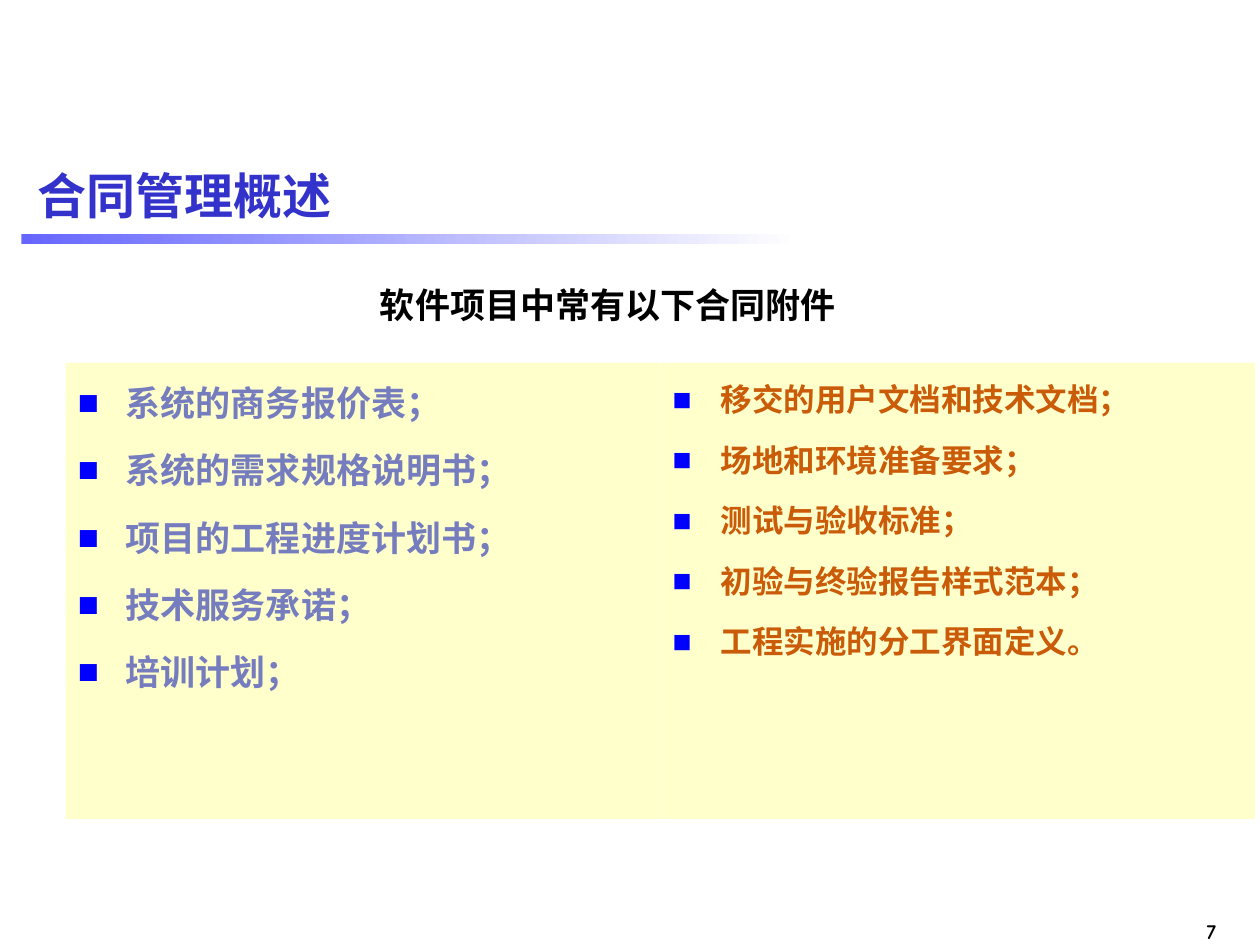
from pptx import Presentation
from pptx.dml.color import RGBColor as RGB
from pptx.enum.shapes import MSO_SHAPE as Shape
from pptx.enum.text import MSO_ANCHOR as Anchor, PP_ALIGN as Align
from pptx.oxml import parse_xml
from pptx.oxml.ns import nsdecls
from pptx.util import Inches as In, Pt

BLUE = RGB(0x33, 0x33, 0xCC)
BAR = RGB(0x66, 0x66, 0xFF)
WHITE = RGB(0xFF, 0xFF, 0xFF)
CREAM = RGB(0xFF, 0xFF, 0xCC)
MAUVE = RGB(0x76, 0x7D, 0xBE)
RUST = RGB(0xCA, 0x5B, 0x08)
BLACK = RGB(0, 0, 0)
MARK = RGB(0, 0, 0xFF)

deck = Presentation()
deck.slide_width, deck.slide_height = In(10), In(7.5)
slide = deck.slides.add_slide(deck.slide_layouts[6])


def write(para, text, size, color, font="Arial"):
    run = para.add_run()
    run.text = text
    run.font.name = font
    run.font.size = Pt(size)
    run.font.bold = True
    run.font.color.rgb = color


def add_box(left, top, width, height):
    box = slide.shapes.add_textbox(In(left), In(top), In(width), In(height))
    box.text_frame.word_wrap = True
    return box


# Page number
page = add_box(9.2, 7.24, 0.55, 0.3).text_frame
page.word_wrap = False
page.paragraphs[0].alignment = Align.RIGHT
write(page.paragraphs[0], "7", 12, BLACK, "Comic Neue")

# Fading bar under the title
bar = slide.shapes.add_shape(Shape.RECTANGLE, In(0.17), In(1.86), In(6.17), In(0.08))
bar.shadow.inherit = False
bar.line.fill.background()
bar.fill.gradient()
bar.fill.gradient_angle = 0
for stop, color, pos in zip(bar.fill.gradient_stops, (BAR, WHITE), (0, 1)):
    stop.color.rgb = color
    stop.position = pos

# Title
title = add_box(0.2, 1.15, 9.61, 0.79).text_frame
title.vertical_anchor = Anchor.MIDDLE
write(title.paragraphs[0], "合同管理概述", 28, BLUE)

# Two list panels, side by side
WIDE = 4.72
lists = [
    (20, MAUVE, ["系统的商务报价表；", "系统的需求规格说明书；", "项目的工程进度计划书；",
                 "技术服务承诺；", "培训计划；"]),
    (18, RUST, ["移交的用户文档和技术文档；", "场地和环境准备要求；", "测试与验收标准；",
                "初验与终验报告样式范本；", "工程实施的分工界面定义。"]),
]
for col, (size, color, items) in enumerate(lists):
    panel = add_box(0.52 + col * WIDE, 2.88, WIDE, 3.62)
    panel.fill.solid()
    panel.fill.fore_color.rgb = CREAM
    frame = panel.text_frame
    for row, item in enumerate(items):
        para = frame.add_paragraph() if row else frame.paragraphs[0]
        para.line_spacing = 1.3
        para.space_before = Pt(0.36 * size if row else 0)
        props = para._p.get_or_add_pPr()
        props.set("marL", str(In(0.38)))
        props.set("indent", str(-In(0.38)))
        for tag in (f'<a:buClr {nsdecls("a")}><a:srgbClr val="{MARK}"/></a:buClr>',
                    f'<a:buFont {nsdecls("a")} typeface="Arial"/>',
                    f'<a:buChar {nsdecls("a")} char="■"/>'):
            props.append(parse_xml(tag))
        write(para, item, size, color)

# Heading above the panels, nudged right of centre
head = add_box(1.22, 2.25, 7.01, 0.33).text_frame
head.margin_left = In(0.2)
head.margin_right = head.margin_top = head.margin_bottom = 0
head.paragraphs[0].alignment = Align.CENTER
write(head.paragraphs[0], "软件项目中常有以下合同附件", 20, BLACK)

deck.save("out.pptx")
